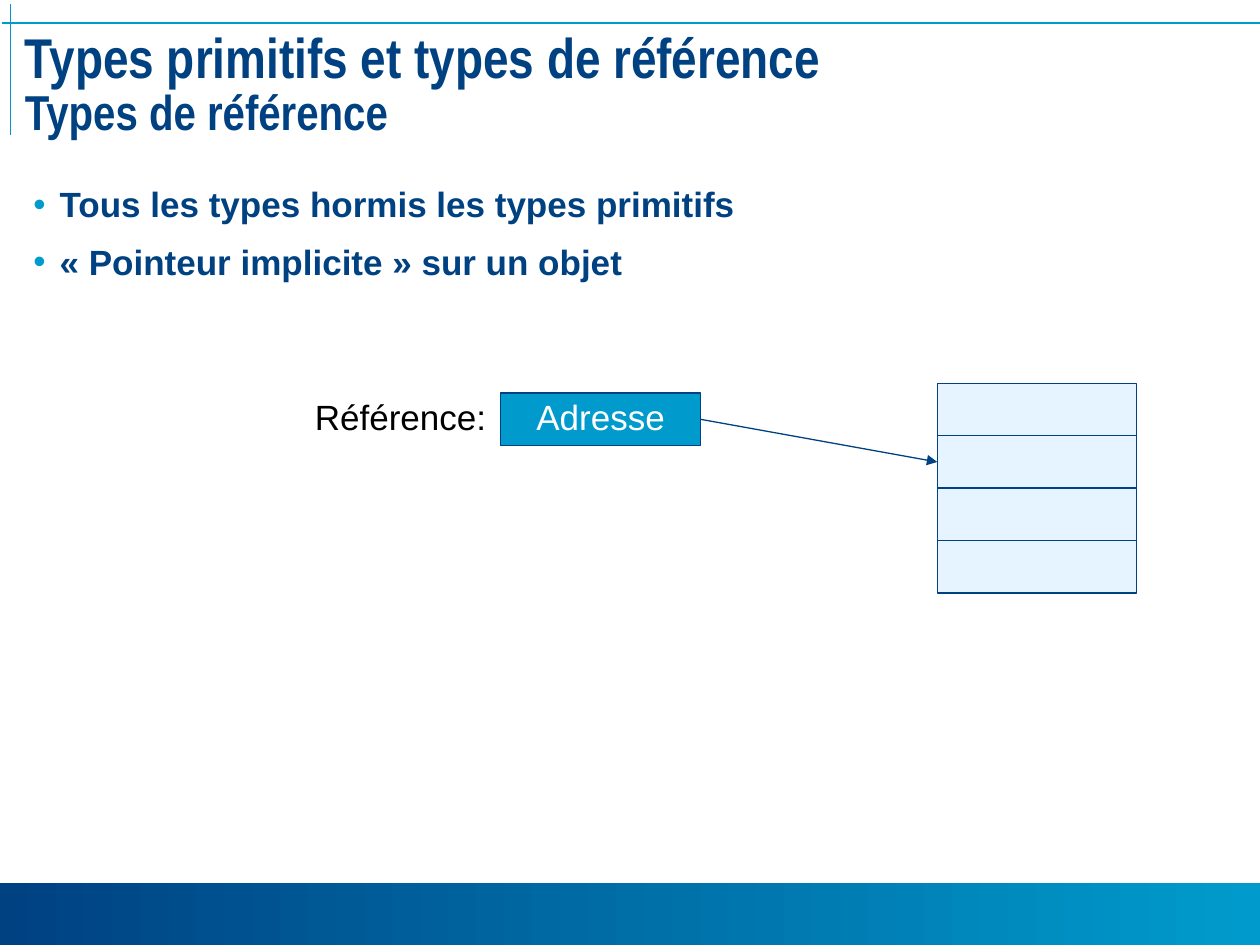
from lxml.etree import SubElement
from pptx import Presentation
from pptx.dml.color import RGBColor
from pptx.enum.dml import MSO_THEME_COLOR
from pptx.enum.shapes import MSO_CONNECTOR, MSO_SHAPE
from pptx.enum.text import MSO_ANCHOR, PP_ALIGN
from pptx.oxml.ns import qn
from pptx.util import Pt

COLORS = {"navy": "004182", "cyan": "009BCC", "pale": "E6F4FF",
          "white": "FFFFFF", "black": "000000"}


def rgb(name):
    return RGBColor.from_string(COLORS[name])


def add_line(x1, y1, x2, y2, color, width):
    line = slide.shapes.add_connector(
        MSO_CONNECTOR.STRAIGHT, Pt(x1), Pt(y1), Pt(x2), Pt(y2))
    line.line.color.rgb = rgb(color)
    line.line.width = Pt(width)
    SubElement(line._element.spPr, qn("a:effectLst"))
    return line


prs = Presentation()
prs.slide_width, prs.slide_height = Pt(720), Pt(540)
slide = prs.slides.add_slide(prs.slide_layouts[5])

# Footer band and header rules
footer = slide.shapes.add_shape(
    MSO_SHAPE.RECTANGLE, Pt(0), Pt(504.6), Pt(720), Pt(37.4))
footer.shadow.inherit = False
footer.line.fill.background()
footer.fill.gradient()
footer.fill.gradient_angle = 0
for stop, color in zip(footer.fill.gradient_stops, ("navy", "cyan")):
    stop.color.rgb = rgb(color)
add_line(1, 13, 720, 13, "cyan", 1)
add_line(6, 2.2, 6, 77, "cyan", 1)

# Title with its subtitle
title = slide.shapes.title
title.left, title.top, title.width, title.height = Pt(7), Pt(16), Pt(708), Pt(72.7)
title_frame = title.text_frame
title_frame.text = "Types primitifs et types de référence\vTypes de référence"
title_frame.vertical_anchor = MSO_ANCHOR.TOP
title_frame.margin_top = title_frame.margin_bottom = Pt(3)
heading = title_frame.paragraphs[0]
heading.alignment = PP_ALIGN.LEFT
heading.line_spacing = 0.85
for run, size in zip(heading.runs, (32, 28)):
    run.font.name = "Arial Narrow"
    run.font.size = Pt(size)
    run.font.bold = True
    run.font.color.rgb = rgb("navy")

# Bullets
points = slide.shapes.add_textbox(Pt(12), Pt(103), Pt(696), Pt(77)).text_frame
points.word_wrap = True
points.text = ("Tous les types hormis les types primitifs\n"
               "«\u00a0Pointeur implicite\u00a0» sur un objet".replace("\u00a0", chr(160)))
for number, point in enumerate(points.paragraphs):
    props = point._p.get_or_add_pPr()
    props.set("marL", str(Pt(15)))
    props.set("indent", str(-Pt(15)))
    bullet_color = SubElement(props, qn("a:buClr"))
    SubElement(bullet_color, qn("a:srgbClr"), val=COLORS["cyan"])
    SubElement(props, qn("a:buFont"), typeface="Arial")
    SubElement(props, qn("a:buChar"), char="•")
    point.line_spacing = 1.0 if number else 0.93
    point.space_before = Pt(8.5 if number else 0)
    font = point.runs[0].font
    font.name, font.size, font.bold = "Arial", Pt(20), True
    font.color.rgb = rgb("navy")

# The reference box, then the four memory cells
CELL_LEFT, CELL_TOP, CELL_WIDTH, CELL_HEIGHT = 535.6, 219, 114, 30
boxes = [(286.2, 224.6, "cyan")]
boxes += [(CELL_LEFT, CELL_TOP + row * CELL_HEIGHT, "pale") for row in range(4)]
drawn = []
for left, top, color in boxes:
    box = slide.shapes.add_shape(
        MSO_SHAPE.RECTANGLE, Pt(left), Pt(top), Pt(CELL_WIDTH), Pt(CELL_HEIGHT))
    box.shadow.inherit = False
    box.fill.solid()
    box.fill.fore_color.rgb = rgb(color)
    box.line.color.rgb = rgb("navy")
    box.line.width = Pt(0.75)
    drawn.append(box)
address, memory = drawn[0], drawn[1:]

label = slide.shapes.add_textbox(Pt(172.8), Pt(224.6), Pt(112.4), Pt(CELL_HEIGHT))
for holder, text, color, align in (
        (address, "Adresse", "white", PP_ALIGN.CENTER),
        (label, "Référence:", "black", PP_ALIGN.LEFT)):
    holder.text_frame.text = text
    holder.text_frame.vertical_anchor = MSO_ANCHOR.MIDDLE
    caption = holder.text_frame.paragraphs[0]
    caption.alignment = align
    caption.line_spacing = 0.93
    font = caption.runs[0].font
    font.name, font.size = "Arial", Pt(20)
    font.color.rgb = rgb(color)

# Pointer from the reference to the object
pointer = add_line(400.2, 239.6, CELL_LEFT, 264, "navy", 0.75)
pointer.begin_connect(address, 3)
pointer.end_connect(memory[1], 1)
SubElement(pointer.line._get_or_add_ln(), qn("a:tailEnd"), type="triangle")

prs.save("out.pptx")
